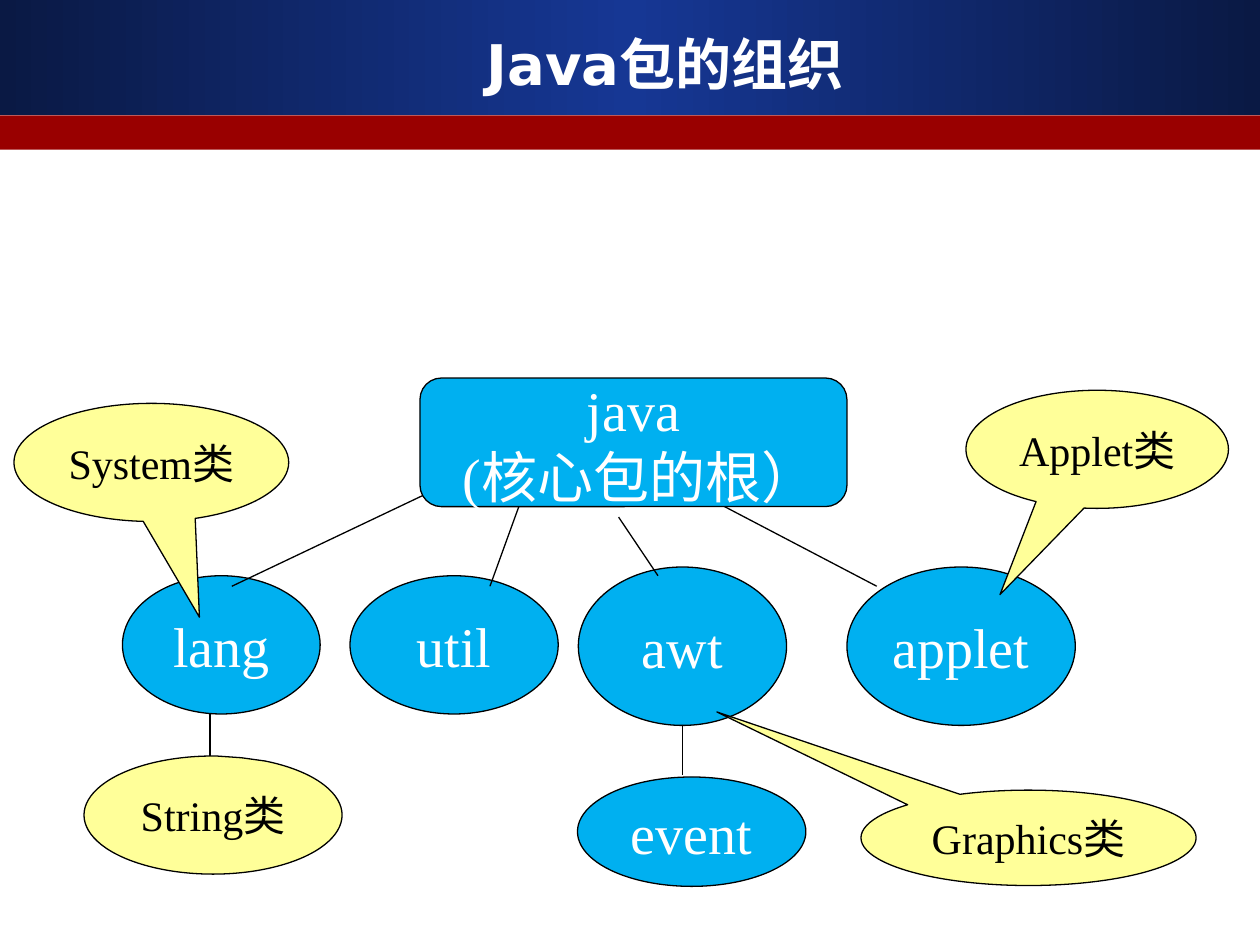
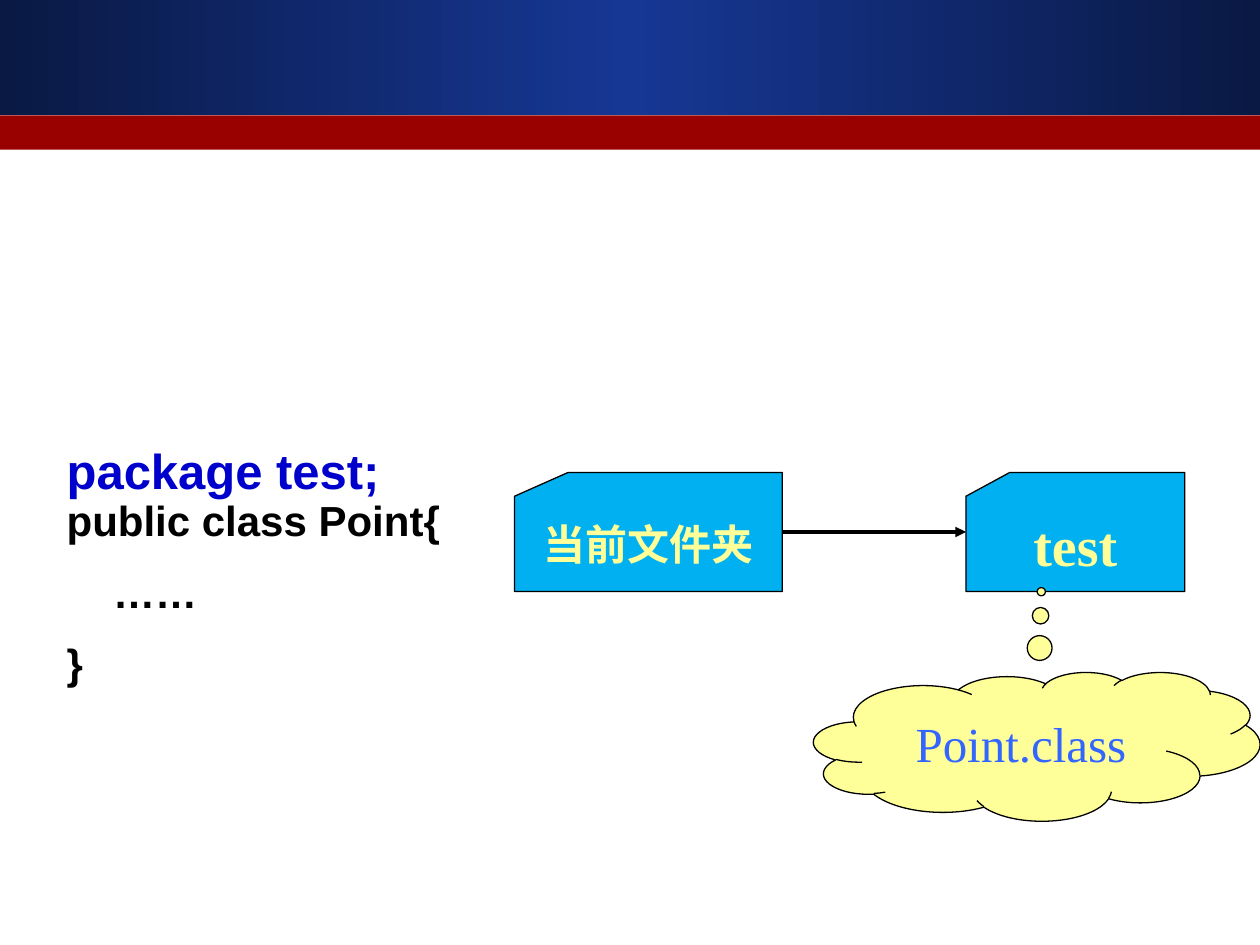
from copy import deepcopy

from lxml import etree
from pptx import Presentation
from pptx.dml.color import RGBColor
from pptx.enum.shapes import MSO_CONNECTOR, MSO_SHAPE
from pptx.enum.text import MSO_ANCHOR, MSO_AUTO_SIZE, PP_ALIGN
from pptx.oxml.ns import qn
from pptx.util import Pt

RECTANGLE = MSO_SHAPE.RECTANGLE
ELLIPSE = MSO_SHAPE.OVAL
ROUNDED_BOX = MSO_SHAPE.FLOWCHART_ALTERNATE_PROCESS
CARD = MSO_SHAPE.FLOWCHART_CARD
BUBBLE = MSO_SHAPE.OVAL_CALLOUT
CLOUD = MSO_SHAPE.CLOUD_CALLOUT
STRAIGHT = MSO_CONNECTOR.STRAIGHT
CENTER = PP_ALIGN.CENTER
MIDDLE = MSO_ANCHOR.MIDDLE
GROW = MSO_AUTO_SIZE.SHAPE_TO_FIT_TEXT

NAVY = RGBColor(0x0A, 0x19, 0x44)
ROYAL = RGBColor(0x16, 0x37, 0x94)
DARK_RED = RGBColor(0x99, 0x00, 0x00)
SKY = RGBColor(0x00, 0xB0, 0xF0)
YELLOW = RGBColor(0xFF, 0xFF, 0x99)
WHITE = RGBColor(0xFF, 0xFF, 0xFF)
BLACK = RGBColor(0x00, 0x00, 0x00)
KEYWORD_BLUE = RGBColor(0x00, 0x00, 0xCC)
LABEL_BLUE = RGBColor(0x33, 0x66, 0xFF)

TITLE_FONT = "DejaVu Sans"
CODE_FONT = "Arial"
LABEL_FONT = "Times New Roman"

TITLE_ONLY, BLANK = 5, 6
TOP, LEFT, BOTTOM, RIGHT = range(4)


def format_font(font, name, size, color, bold=False):
    font.name = name
    font.size = Pt(size)
    font.color.rgb = color
    font.bold = bold


def add_band(page, top, height, color):
    """Full-width band without outline."""
    band = page.shapes.add_shape(RECTANGLE, 0, Pt(top), Pt(720), Pt(height))
    band.shadow.inherit = False
    band.fill.solid()
    band.fill.fore_color.rgb = color
    band.line.fill.background()
    return band


def shade_from_middle(shape, edge, middle):
    """Horizontal gradient: edge, middle, edge."""
    shape.fill.gradient()
    shape.fill.gradient_angle = 0
    for stop in shape.fill.gradient_stops:
        stop.color.rgb = edge
    first = shape.element.find(".//" + qn("a:gs"))
    first.addnext(deepcopy(first))
    center = shape.fill.gradient_stops[1]
    center.position = 0.5
    center.color.rgb = middle


def add_master_bands(deck, page):
    """Draw the header bands and move them behind everything on the master."""
    blue_band = add_band(page, 0, 65.5, NAVY)
    shade_from_middle(blue_band, NAVY, ROYAL)
    red_band = add_band(page, 66, 19.5, DARK_RED)
    for index, band in enumerate((blue_band, red_band)):
        band.element.nvSpPr.cNvPr.set("id", str(101 + index))
        deck.slide_master.shapes.element.insert(2 + index, band.element)


def add_title(page, text):
    title = page.shapes.title
    title.left, title.top = Pt(140.5), Pt(15)
    title.width, title.height = Pt(486.5), Pt(42)
    title.text_frame.text = text
    title.text_frame.vertical_anchor = MIDDLE
    para = title.text_frame.paragraphs[0]
    para.alignment = CENTER
    format_font(para.runs[0].font, TITLE_FONT, 32, WHITE, True)


def add_label(page, kind, place, text, fill, color, size=32, bold=False,
              wrap=False, pointer=None):
    """Outlined shape with centred text; pointer is a callout's tip."""
    shape = page.shapes.add_shape(kind, *map(Pt, place))
    shape.shadow.inherit = False
    shape.fill.solid()
    shape.fill.fore_color.rgb = fill
    shape.line.color.rgb = BLACK
    shape.line.width = Pt(0.75)
    if pointer:
        shape.adjustments[0], shape.adjustments[1] = pointer
    frame = shape.text_frame
    frame.text = text
    frame.word_wrap = wrap
    frame.vertical_anchor = MIDDLE
    for para in frame.paragraphs:
        para.alignment = CENTER
        format_font(para.runs[0].font, LABEL_FONT, size, color, bold)
    return shape


def add_package(page, text, place, kind=ELLIPSE):
    return add_label(page, kind, place, text, SKY, WHITE)


def add_class_bubble(page, text, place, pointer):
    return add_label(page, BUBBLE, place, text, YELLOW, BLACK, 24,
                     wrap=True, pointer=pointer)


def add_line(page, start, end, width=0.75):
    line = page.shapes.add_connector(STRAIGHT, *map(Pt, start + end))
    line.line.color.rgb = BLACK
    line.line.width = Pt(width)
    etree.SubElement(line.element.spPr, qn("a:effectLst"))
    return line


def add_arrow(page, source, target):
    """Arrow from the right side of one box to the left side of another."""
    arrow = add_line(page, (0, 0), (0, 0), 2)
    arrow.begin_connect(source, RIGHT)
    arrow.end_connect(target, LEFT)
    outline = arrow.element.spPr.find(qn("a:ln"))
    etree.SubElement(outline, qn("a:tailEnd"), type="triangle")


def add_code(page, place, text):
    box = page.shapes.add_textbox(*map(Pt, place))
    frame = box.text_frame
    frame.text = text
    frame.word_wrap = True
    frame.auto_size = GROW
    for index, para in enumerate(frame.paragraphs):
        para.line_spacing = 0.9
        para.space_before = Pt(10.5 if index else 0)
        para.space_after = Pt(4.5)
        for span in para.runs:
            format_font(span.font, CODE_FONT, 24, BLACK, True)
    package_line = frame.paragraphs[0].runs[0]
    format_font(package_line.font, CODE_FONT, 28, KEYWORD_BLUE, True)


def build_package_tree(page):
    add_title(page, "Java包的组织 ")

    # Packages
    for text, place in (
        ("lang", (70, 329, 113, 79)),
        ("util", (200, 329, 119, 79)),
        ("awt", (330.5, 324, 119, 90.5)),
        ("applet", (484, 324, 130.5, 90.5)),
        ("event", (330, 444, 130.5, 62.5)),
    ):
        add_package(page, text, place)

    # Branches
    for start, end in (
        ((263, 273), (132.5, 335)),
        ((296.5, 289.5), (280, 335)),
        ((353.5, 295.5), (376, 329)),
        ((393, 278.5), (501, 335)),
        ((390, 414), (390, 443)),
        ((120, 408), (120, 432)),
    ):
        add_line(page, start, end)

    # Classes
    for text, place, pointer in (
        ("System类", (8, 230.5, 157, 67.5), (0.175, 1.31)),
        ("Applet类", (552, 223, 150, 67.5), (-0.37, 1.23)),
        ("Graphics类", (492, 451.5, 191.5, 54.5), (-0.93, -1.32)),
        ("String类", (48, 432, 147.5, 67.5), (0.11, -0.485)),
    ):
        add_class_bubble(page, text, place, pointer)

    # Root covers the inner ends of its branches
    add_package(page, "java\n (核心包的根）", (240, 216, 244, 73.5), ROUNDED_BOX)


def build_folder_example(page):
    add_code(page, (31, 252, 295, 145.5),
             "package test; \vpublic class Point{\n    ……\n}")
    current = add_label(page, CARD, (294, 270, 153, 68), "当前文件夹",
                        SKY, YELLOW, 24, bold=True)
    target = add_label(page, CARD, (552, 270, 125, 68), "test",
                       SKY, YELLOW, bold=True)
    add_label(page, CLOUD, (465, 384, 255, 85), "Point.class", YELLOW,
              LABEL_BLUE, 28, wrap=True, pointer=(0.01, -1.04))
    add_arrow(page, current, target)


def main():
    deck = Presentation()
    deck.slide_width, deck.slide_height = Pt(720), Pt(540)
    tree_page = deck.slides.add_slide(deck.slide_layouts[TITLE_ONLY])
    folder_page = deck.slides.add_slide(deck.slide_layouts[BLANK])
    add_master_bands(deck, tree_page)
    build_package_tree(tree_page)
    build_folder_example(folder_page)
    deck.save("out.pptx")


if __name__ == "__main__":
    main()
